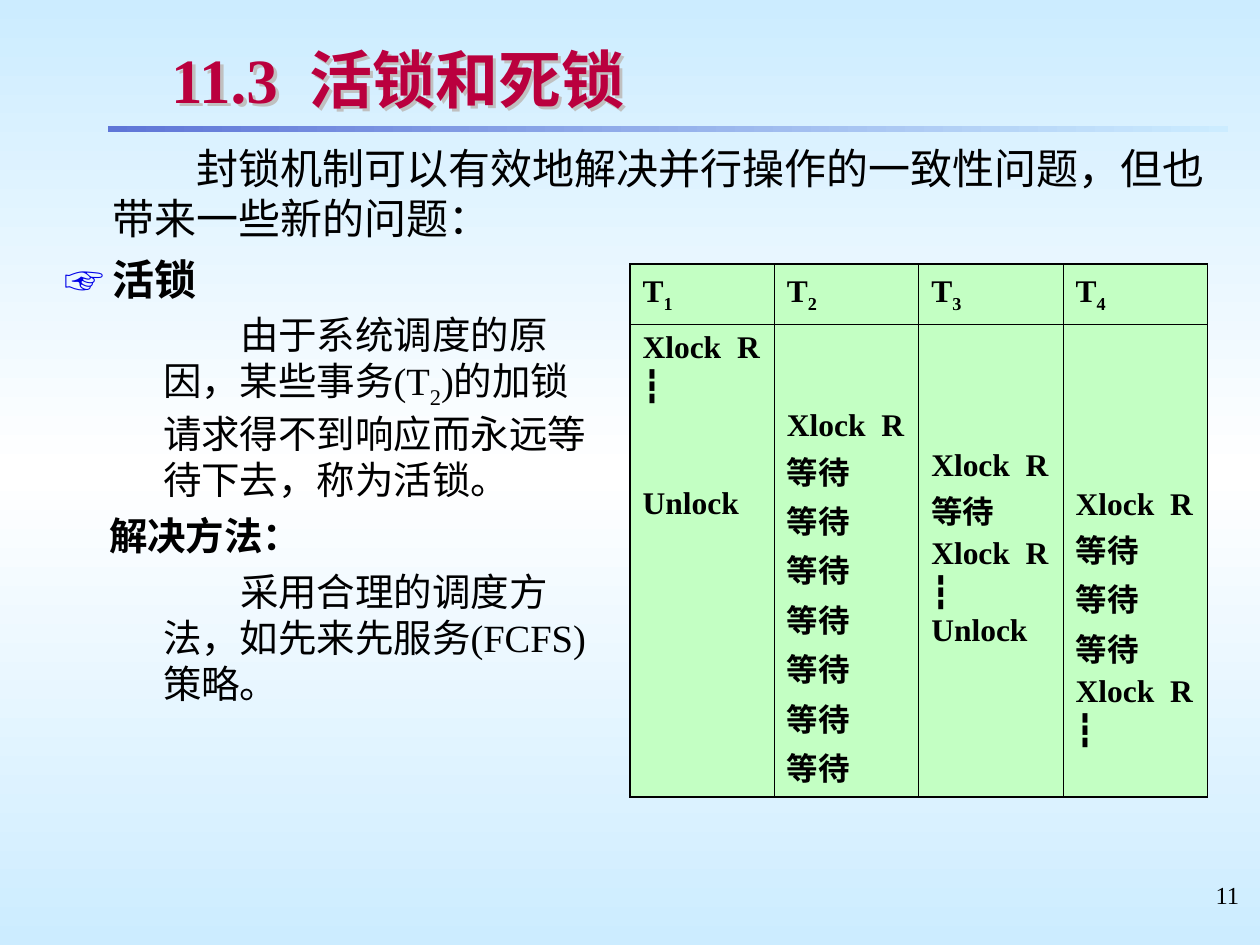
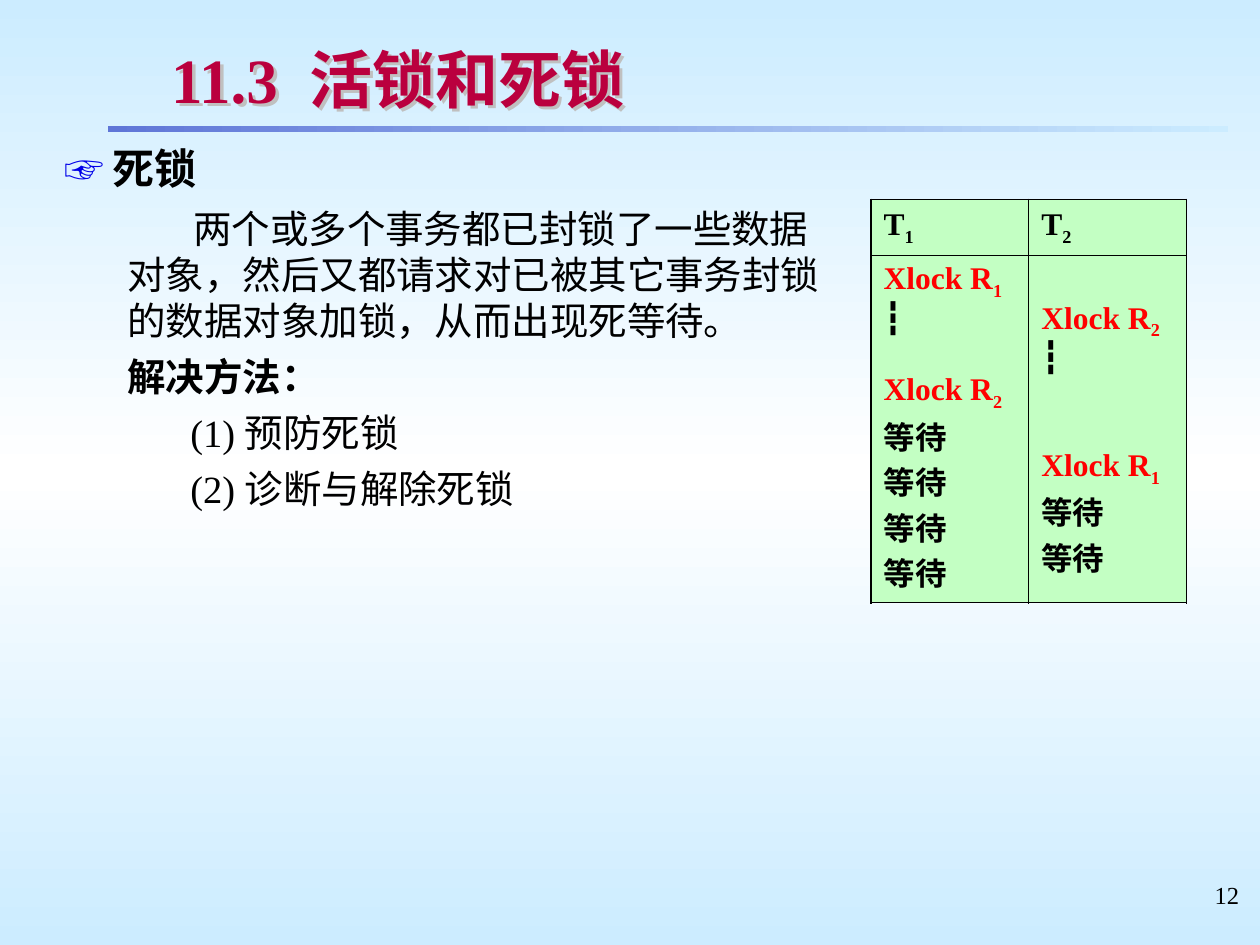
from lxml.etree import SubElement
from pptx import Presentation
from pptx.dml.color import RGBColor
from pptx.enum.shapes import MSO_SHAPE
from pptx.enum.text import MSO_ANCHOR, PP_ALIGN
from pptx.oxml import parse_xml
from pptx.oxml.ns import nsdecls, qn
from pptx.util import Cm, Pt

LATIN, ASIAN = "Times New Roman", "Noto Sans CJK SC"
BLACK, RED, CRIMSON, BLUE = "000000", "FF0000", "BA003E", "0000E8"
SKY, WHITE, BAND, MINT = "CCECFF", "FFFFFF", "5F76D7", "C3FFC3"
TITLE = "11.3  活锁和死锁"
HANG = 0.97  # hanging indent of a bulleted line, in cm


def rgb(code):
    return RGBColor.from_string(code)


def blend(fill, angle, *codes):
    """Turn a solid fill into a gradient with evenly spaced stops."""
    fill.solid()
    fill.fore_color.rgb = rgb(codes[0])
    old = fill.fore_color._xFill
    last = len(codes) - 1
    stops = "".join(
        f'<a:gs pos="{100000 * i // last}"><a:srgbClr val="{code}"/></a:gs>'
        for i, code in enumerate(codes))
    old.getparent().replace(old, parse_xml(
        f'<a:gradFill {nsdecls("a")} rotWithShape="1"><a:gsLst>{stops}</a:gsLst>'
        f'<a:lin ang="{angle * 60000}" scaled="0"/></a:gradFill>'))


def add_run(para, text, size, color=BLACK, bold=False, sub=False):
    run = para.add_run()
    run.text = text
    font = run.font
    font.size, font.bold, font.name = Pt(size), bold, LATIN
    font.color.rgb = rgb(color)
    props = font._element
    props.find(qn("a:latin")).addnext(
        parse_xml(f'<a:ea {nsdecls("a")} typeface="{ASIAN}"/>'))
    if sub:
        props.set("baseline", "-25000")


def write(para, text, size, color=BLACK, bold=False):
    """Add runs; the character after each underscore is a subscript."""
    head, *parts = text.split("_")
    add_run(para, head, size, color, bold)
    for part in parts:
        add_run(para, part[0], size, color, bold, sub=True)
        if part[1:]:
            add_run(para, part[1:], size, color, bold)


def add_box(slide, left, top, width, height):
    box = slide.shapes.add_textbox(Cm(left), Cm(top), Cm(width), Cm(height))
    box.text_frame.word_wrap = True
    return box


def next_para(frame, gap=0):
    """Give the empty first paragraph, or a new one after a gap."""
    first = frame.paragraphs[0]
    if not first.runs:
        return first
    para = frame.add_paragraph()
    para.space_before = Pt(gap)
    return para


def add_para(frame, text, size, left=0, first=0, gap=5.5, bold=False, mark=None):
    para = next_para(frame, gap)
    props = para._p.get_or_add_pPr()
    props.set("marL", str(Cm(left)))
    props.set("indent", str(Cm(first)))
    props.set("hangingPunct", "0")
    if mark:
        tint = SubElement(props, qn("a:buClr"))
        SubElement(tint, qn("a:srgbClr")).set("val", BLUE)
        SubElement(props, qn("a:buSzPct")).set("val", "95000")
        SubElement(props, qn("a:buFont")).set("typeface", ASIAN)
        SubElement(props, qn("a:buChar")).set("char", mark)
    write(para, text, size, bold=bold)


def add_topic(frame, text):
    add_para(frame, text, 24, HANG, -HANG, gap=6, bold=True, mark="☞")


def set_edges(cell, widths):
    props = cell._tc.get_or_add_tcPr()
    for i, (side, width) in enumerate(zip("LRTB", widths)):
        props.insert(i, parse_xml(
            f'<a:ln{side} {nsdecls("a")} w="{Pt(width)}"><a:solidFill>'
            f'<a:srgbClr val="{BLACK}"/></a:solidFill></a:ln{side}>'))


def fill_cell(cell, lines, gap, step, lock):
    """Write lines; a number stands for that many skipped steps."""
    frame, skip = cell.text_frame, 0
    for line in lines:
        if not isinstance(line, str):
            skip = line * step
            continue
        if not frame.paragraphs[0].runs:
            cell.margin_top = Cm(0.13) + Pt(skip)
        para = next_para(frame, gap + skip)
        color = lock if line.startswith("Xlock") else BLACK
        write(para, line, 18, color, bold=line != "┇")
        skip = 0


def add_plan(slide, left, top, wide, heights, plans, gap, step, lock=BLACK):
    """Draw a schedule table with one column for each transaction."""
    count = len(plans)
    table = slide.shapes.add_table(
        2, count, Cm(left), Cm(top), Cm(wide * count), Cm(sum(heights))).table
    table.first_row = table.horz_banding = False
    for row, height in zip(table.rows, heights):
        row.height = Cm(height)
    for col, plan in enumerate(plans):
        table.columns[col].width = Cm(wide)
        for row, lines in enumerate(([f"T_{col + 1}"], plan)):
            cell = table.cell(row, col)
            cell.fill.solid()
            cell.fill.fore_color.rgb = rgb(MINT)
            outer = (col == 0, col == count - 1, row == 0, row == 1)
            set_edges(cell, [1.08 if edge else 0.45 for edge in outer])
            fill_cell(cell, lines, gap, step, lock)
        table.cell(0, col).vertical_anchor = MSO_ANCHOR.MIDDLE


def add_page(deck, number):
    """Add a slide with its background, title, band and number."""
    slide = deck.slides.add_slide(deck.slide_layouts[6])
    blend(slide.background.fill, 90, SKY, WHITE, SKY)

    band = slide.shapes.add_shape(
        MSO_SHAPE.RECTANGLE, Cm(2.18), Cm(2.54), Cm(22.58), Cm(0.13))
    band.shadow.inherit = False
    band.line.fill.background()
    blend(band.fill, 0, BAND, SKY)

    foot = add_box(slide, 19.31, 17.61, 5.92, 1.32).text_frame.paragraphs[0]
    foot.alignment = PP_ALIGN.RIGHT
    add_run(foot, str(number), 14)

    title = add_box(slide, 3.2, 0.72, 20.93, 1.7)
    title._element.spPr.append(parse_xml(
        f'<a:effectLst {nsdecls("a")}><a:outerShdw dist="35900" dir="2700000">'
        '<a:srgbClr val="C0C0C0"/></a:outerShdw></a:effectLst>'))
    frame = title.text_frame
    frame.vertical_anchor = MSO_ANCHOR.MIDDLE
    frame.margin_top = frame.margin_bottom = Cm(0.1)
    add_run(frame.paragraphs[0], TITLE, 36, CRIMSON, bold=True)
    return slide


def add_live(deck):
    slide = add_page(deck, 11)
    frame = add_box(slide, 1.05, 2.74, 23.55, 3.61).text_frame
    add_para(frame, "封锁机制可以有效地解决并行操作的一致性问题，但也带来一些新的问题：",
             24, HANG, 1.69)
    add_topic(frame, "活锁")

    ask, wait, dots, free = "Xlock  R", "等待", "┇", "Unlock"
    add_plan(slide, 12.7, 5.32, 2.91, (1.21, 9.53), [
        [ask, dots, 2, free],
        [2, ask] + [wait] * 7,
        [3, ask, wait, ask, dots, free],
        [4, ask] + [wait] * 3 + [ask, dots],
    ], gap=2.2, step=22.4)

    frame = add_box(slide, 0.98, 6.15, 11.23, 10.8).text_frame
    add_para(frame, "由于系统调度的原因，某些事务(T_2)的加锁请求得不到响应而永远等待下去，称为活锁。",
             22, 2.06, 1.55)
    add_para(frame, "解决方法：", 22, HANG, bold=True)
    add_para(frame, "采用合理的调度方法，如先来先服务(FCFS)策略。", 22, 2.06, 1.55)


def add_dead(deck):
    slide = add_page(deck, 12)
    add_topic(add_box(slide, 1.05, 2.74, 23.5, 1.27).text_frame, "死锁")

    one, two, wait, dots = "Xlock R_1", "Xlock R_2", "等待", "┇"
    add_plan(slide, 17.56, 4.02, 3.18, (1.13, 7), [
        [one, dots, 1, two] + [wait] * 4,
        [1.08, two, dots, 2, one] + [wait] * 2,
    ], gap=0, step=20.7, lock=RED)

    frame = add_box(slide, 1.05, 4.01, 16.05, 13.54).text_frame
    add_para(frame, "两个或多个事务都已封锁了一些数据对象，然后又都请求对已被其它事务封锁的数据对象加锁，从而出现死等待。",
             22, 1.27, 1.33)
    add_para(frame, "解决方法：", 22, 1.27, bold=True)
    for item in ("(1) 预防死锁", "(2) 诊断与解除死锁"):
        add_para(frame, item, 22, 2.54)


def main():
    deck = Presentation()
    deck.slide_width, deck.slide_height = Cm(25.4), Cm(19.05)
    add_live(deck)
    add_dead(deck)
    deck.save("out.pptx")


if __name__ == "__main__":
    main()
